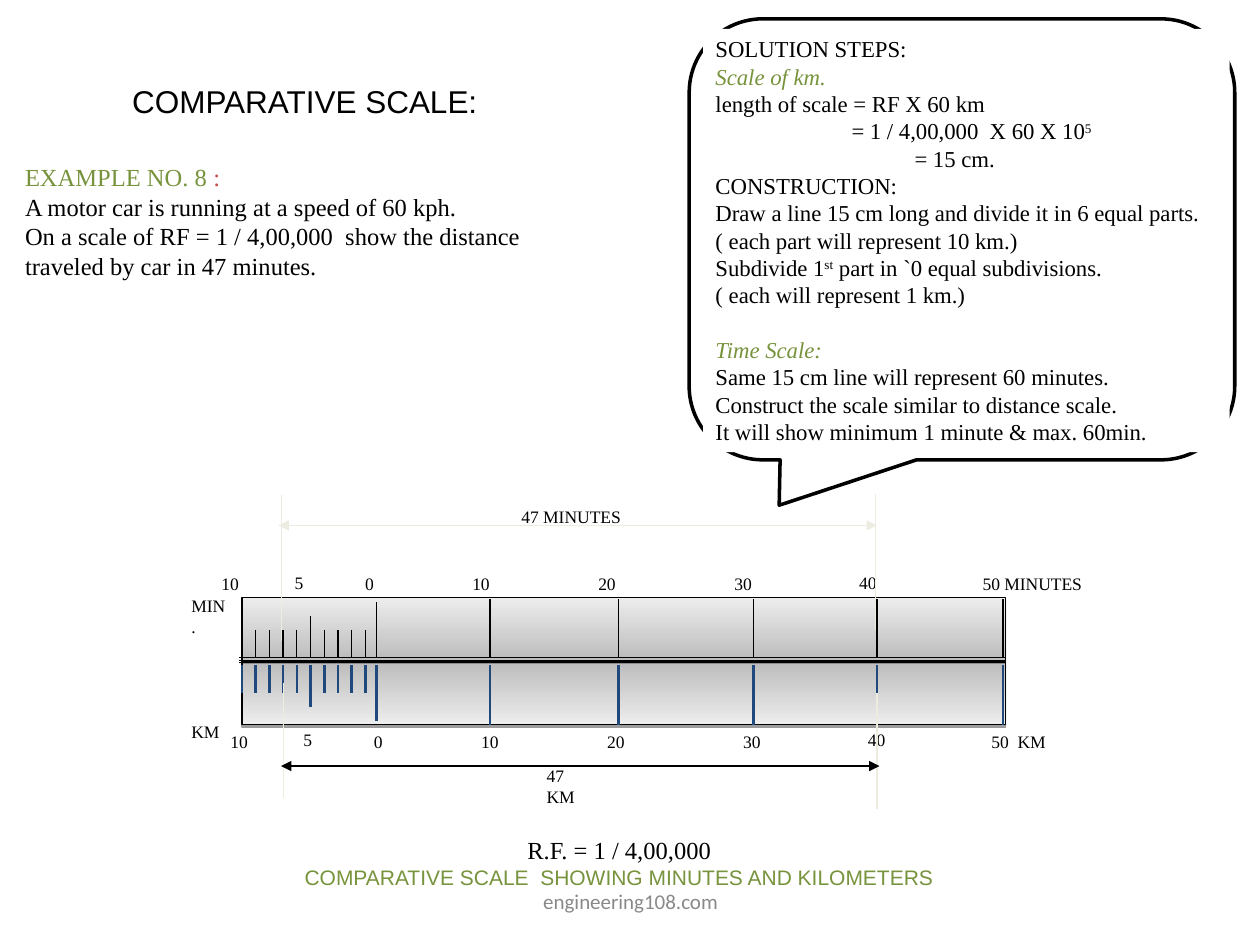
"""Build the comparative scale slide showing minutes and kilometers."""
from dataclasses import dataclass, field
from typing import Any

from lxml.etree import SubElement
from pptx import Presentation
from pptx.dml.color import RGBColor
from pptx.enum.shapes import MSO_CONNECTOR, MSO_SHAPE
from pptx.enum.text import MSO_ANCHOR, PP_ALIGN
from pptx.oxml.ns import qn
from pptx.util import Inches, Pt

BLACK = RGBColor(0x00, 0x00, 0x00)
WHITE = RGBColor(0xFF, 0xFF, 0xFF)
GREEN = RGBColor(0x77, 0x93, 0x3C)
RED = RGBColor(0xC0, 0x50, 0x4D)
BLUE = RGBColor(0x1F, 0x49, 0x7D)
CREAM = RGBColor(0xEE, 0xEC, 0xE1)
GREY = RGBColor(0x89, 0x89, 0x89)
BAR_DARK = RGBColor(0xBC, 0xBC, 0xBC)
BAR_LIGHT = RGBColor(0xED, 0xED, 0xED)
SERIF = "Times New Roman"

DECADES = (2.99, 3.89, 4.91, 5.98, 6.96, 7.96)
BAR_LEFT, BAR_WIDTH, BAR_HEIGHT = 1.92, 6.06, 0.5
SUBDIVISION = 0.109
LABELS = (("10", 1.73, 0.34), ("10", 3.72, 0.34), ("0", 2.87, 0.27), ("20", 4.72, 0.34),
          ("30", 5.8, 0.34), ("5", 2.31, 0.27), ("40", 6.79, 0.34))


@dataclass
class Span:
    text: str
    color: RGBColor = BLACK
    size: float = 10
    font: str = SERIF
    italic: bool = False
    raised: bool = False


@dataclass
class Line:
    spans: list[Span]
    format: dict[str, Any] = field(default_factory=dict)
    indent: float = 0


@dataclass
class Scale:
    top: float
    gradient_angle: int
    color: RGBColor
    weight: float
    tick_base: float
    direction: int
    label_shift: float
    label_top: float
    last_label: str
    last_width: float


def add_text(slide, box: tuple, lines: list[Line], wrap: bool = False,
             fill: RGBColor | None = None, anchor=MSO_ANCHOR.TOP) -> None:
    textbox = slide.shapes.add_textbox(*map(Inches, box))
    if fill is not None:
        textbox.fill.solid()
        textbox.fill.fore_color.rgb = fill
    frame = textbox.text_frame
    for name, value in {"word_wrap": wrap, "vertical_anchor": anchor}.items():
        setattr(frame, name, value)
    for number, line in enumerate(lines):
        paragraph = frame.add_paragraph() if number else frame.paragraphs[0]
        if line.indent:
            paragraph._p.get_or_add_pPr().set("marL", str(Inches(line.indent)))
        for name, value in line.format.items():
            setattr(paragraph, name, value)
        for span in line.spans:
            run = paragraph.add_run()
            run.text = span.text
            style = {"name": span.font, "size": Pt(span.size), "italic": span.italic}
            for name, value in style.items():
                setattr(run.font, name, value)
            run.font.color.rgb = span.color
            if span.raised:
                run._r.get_or_add_rPr().set("baseline", "30000")


def add_label(slide, text: str, left: float, top: float, width: float) -> None:
    add_text(slide, (left, top, width, 0.27), [Line([Span(text)])])


def add_line(slide, start: tuple, end: tuple, color: RGBColor = BLACK,
             weight: float = 0.75, arrows: bool = False) -> None:
    line = slide.shapes.add_connector(MSO_CONNECTOR.STRAIGHT, *map(Inches, start + end))
    line.line.color.rgb = color
    line.line.width = Pt(weight)
    if arrows:
        for tag in ("a:headEnd", "a:tailEnd"):
            SubElement(line.line._get_or_add_ln(), qn(tag), type="triangle")
    SubElement(line._element.spPr, qn("a:effectLst"))


def add_bar(slide, top: float, angle: int) -> None:
    bar = slide.shapes.add_shape(
        MSO_SHAPE.RECTANGLE, *map(Inches, (BAR_LEFT, top, BAR_WIDTH, BAR_HEIGHT)))
    bar.fill.gradient()
    bar.fill.gradient_angle = angle
    for stop, position, color in zip(bar.fill.gradient_stops, (0, 1), (BAR_DARK, BAR_LIGHT)):
        stop.position = position
        stop.color.rgb = color
    bar.line.color.rgb = BLACK
    bar.line.width = Pt(0.75)
    bar.shadow.inherit = False
    effects = bar._element.spPr.find(qn("a:effectLst"))
    shadow = SubElement(effects, qn("a:outerShdw"), blurRad="0", dist=str(Pt(1.6)),
                        dir="5400000", rotWithShape="0")
    shade = SubElement(shadow, qn("a:srgbClr"), val="000000")
    SubElement(shade, qn("a:alpha"), val="38000")


def add_scale(slide, scale: Scale) -> None:
    add_bar(slide, scale.top, scale.gradient_angle)
    ticks = [(BAR_LEFT + SUBDIVISION * step, 0.33 if step == 5 else 0.22) for step in range(10)]
    ticks += [(x, 0.44 if x == DECADES[0] else 0.47) for x in DECADES]
    for x, length in ticks:
        add_line(slide, (x, scale.tick_base), (x, scale.tick_base + scale.direction * length),
                 scale.color, scale.weight)
    for text, left, width in LABELS + ((scale.last_label, 7.77, scale.last_width),):
        add_label(slide, text, left + scale.label_shift,
                  scale.label_top - (0.01 if text in ("5", "40") else 0), width)


def add_callout(slide) -> None:
    callout = slide.shapes.add_shape(
        MSO_SHAPE.ROUNDED_RECTANGULAR_CALLOUT, *map(Inches, (5.47, 0.15, 4.33, 3.5)))
    for number, value in enumerate((-0.335, 0.603, 0.167)):
        callout.adjustments[number] = value
    callout.fill.solid()
    callout.fill.fore_color.rgb = WHITE
    callout.line.color.rgb = BLACK
    callout.line.width = Pt(2)
    callout.shadow.inherit = False

    def step(*texts: str, indent: float = 0) -> Line:
        return Line([Span(text, size=13, raised=number == 1)
                     for number, text in enumerate(texts)], indent=indent)

    def heading(text: str, **layout: Any) -> Line:
        return Line([Span(text, GREEN, 13, italic=True)], layout)

    add_text(slide, (5.58, 0.23, 4.18, 3.36), [
        step("SOLUTION STEPS:"),
        heading("Scale of km."),
        step("length of scale = RF X 60 km"),
        step("= 1 / 4,00,000  X 60 X 10", "5", indent=1.08),
        step("= 15 cm.", indent=1.58),
        step("CONSTRUCTION:"),
        step("Draw a line 15 cm long and divide it in 6 equal parts."),
        step("( each part will represent 10 km.)"),
        step("Subdivide 1", "st", " part in `0 equal subdivisions."),
        step("( each will represent 1 km.)"),
        heading("Time Scale:", space_before=Pt(15.6)),
        step("Same 15 cm line will represent 60 minutes."),
        step("Construct the scale similar to distance scale."),
        step("It will show minimum 1 minute & max. 60min."),
    ], wrap=True, fill=WHITE)


def main() -> None:
    presentation = Presentation()
    presentation.slide_width, presentation.slide_height = Inches(10), Inches(7.5)
    slide = presentation.slides.add_slide(presentation.slide_layouts[6])
    centred = {"alignment": PP_ALIGN.CENTER}

    add_text(slide, (0.95, 0.6, 3.11, 0.4),
             [Line([Span("COMPARATIVE SCALE:", size=18, font="Arial")])])
    problem = ("A motor car is running at a speed of 60 kph.",
               "On a scale of RF = 1 / 4,00,000  show the distance",
               "traveled by car in 47 minutes.")
    add_text(slide, (0.1, 1.24, 4.18, 1.04),
             [Line([Span("EXAMPLE NO. 8 ", GREEN, 14), Span(":", RED, 14)])]
             + [Line([Span(text, size=14)]) for text in problem], fill=WHITE)
    add_callout(slide)

    add_scale(slide, Scale(5.25, 270, BLUE, 1.5, 5.28, 1, 0, 5.75, "50  KM", 0.63))
    add_scale(slide, Scale(4.74, 90, BLACK, 0.75, 5.22, -1, -0.07, 4.5, "50 MINUTES", 0.99))
    for y in (5.22, 5.24, 5.26):
        add_line(slide, (1.9, y), (7.98, y))
    add_label(slide, "MIN.", 1.42, 4.67, 0.5)
    add_label(slide, "KM", 1.42, 5.67, 0.42)

    for x, top, bottom, weight in ((2.23, 3.93, 5.09, 0.25), (6.95, 3.92, 5, 0.25),
                                   (2.25, 5.42, 6.33, 0.75), (6.96, 5.5, 6.42, 0.75)):
        add_line(slide, (x, bottom), (x, top), CREAM, weight)
    add_line(slide, (2.21, 4.17), (6.96, 4.17), CREAM, arrows=True)
    add_label(slide, "47 MINUTES", 4.04, 3.97, 0.99)
    add_line(slide, (2.23, 6.08), (6.98, 6.08), arrows=True)
    add_label(slide, "47 KM", 4.24, 6.02, 0.59)

    caption = "COMPARATIVE SCALE  SHOWING MINUTES AND KILOMETERS"
    add_text(slide, (2.3, 6.58, 5.23, 0.54),
             [Line([Span("R.F. = 1 / 4,00,000", size=14)], centred),
              Line([Span(caption, GREEN, 12, "Arial")], centred)])
    add_text(slide, (3.42, 6.95, 3.17, 0.4),
             [Line([Span("engineering108.com", GREY, 12, "Calibri")], centred)],
             wrap=True, anchor=MSO_ANCHOR.MIDDLE)
    presentation.save("out.pptx")


if __name__ == "__main__":
    main()
